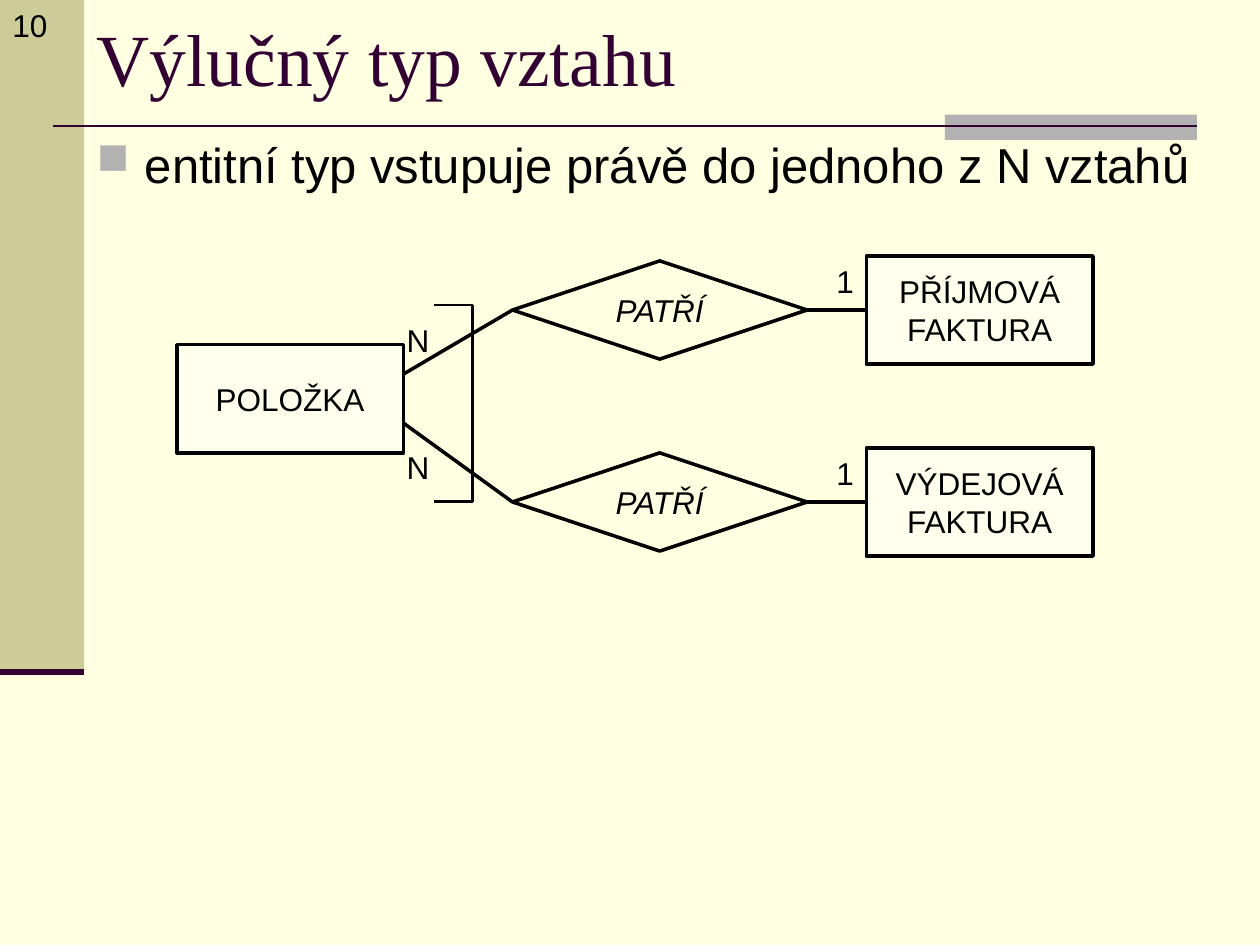
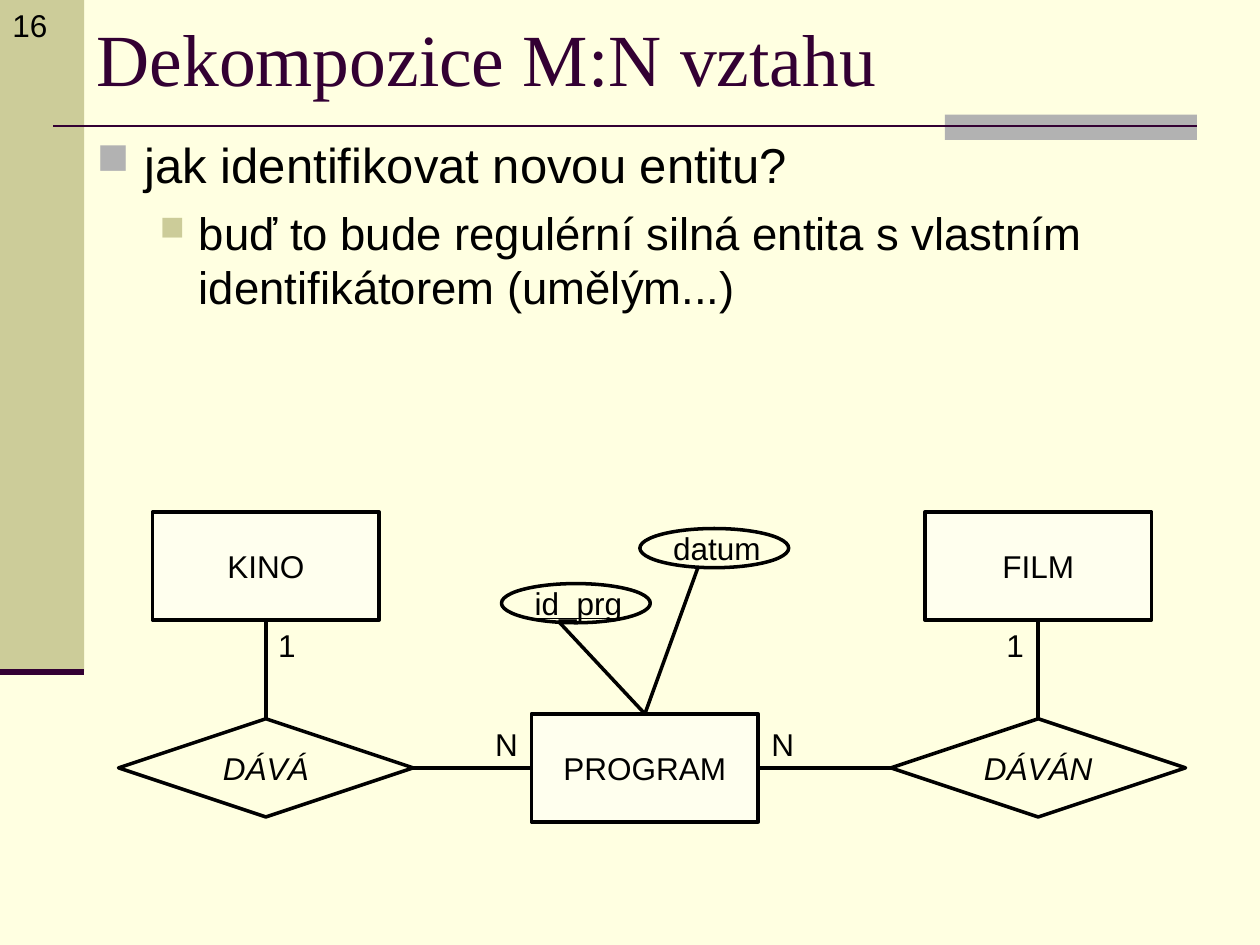
from dataclasses import dataclass
from typing import NamedTuple

from lxml.etree import SubElement as Sub
from pptx import Presentation
from pptx.dml.color import RGBColor as Rgb
from pptx.enum.shapes import MSO_CONNECTOR as Wire, MSO_SHAPE as Kind
from pptx.enum.text import MSO_ANCHOR as Anchor, PP_ALIGN as Align
from pptx.oxml.ns import qn
from pptx.slide import Slide
from pptx.util import Cm, Pt


@dataclass(frozen=True)
class Theme:
    page: str = "FFFFE1"
    band: str = "CCCC99"
    tab: str = "B2B2B2"
    plum: str = "330033"
    ink: str = "000000"
    cell: str = "FFFFEE"
    sans: str = "Arial"
    serif: str = "Times New Roman"
    head: float = 42
    main: float = 28
    sub: float = 26
    small: float = 18
    thick: float = 2
    thin: float = 1.5
    base: float = 3.5


class Size(NamedTuple):
    wide: float
    high: float


class Level(NamedTuple):
    left: float
    hang: float
    size: float
    gap: float
    color: str
    scale: int


class Point(NamedTuple):
    level: int
    words: str


class Node(NamedTuple):
    kind: Kind
    x: float
    y: float
    words: str = ""


THEME = Theme()
BOX, GEM, OVAL = Kind.RECTANGLE, Kind.DIAMOND, Kind.OVAL
SIZES = {BOX: Size(4.57, 2.18), GEM: Size(5.94, 1.98), OVAL: Size(3, 0.79)}
LEVELS = (
    Level(0.97, 0.97, THEME.main, 7, THEME.tab, 90),
    Level(2.06, 0.79, THEME.sub, 6.5, THEME.band, 75),
)


class Link(NamedTuple):
    x1: float
    y1: float
    x2: float
    y2: float
    width: float = THEME.thick


class Label(NamedTuple):
    x: float
    y: float
    words: str
    wide: float = 1.1
    under: bool = False


def tint(code: str) -> Rgb:
    return Rgb.from_string(code)


def write(para, words: str, size: float, face: str = THEME.sans,
          color: str = THEME.ink, slant: bool = False, under: bool = False) -> None:
    run = para.add_run()
    run.text = words
    font = run.font
    font.size, font.name = Pt(size), face
    font.color.rgb = tint(color)
    font.italic, font.underline = slant, under


def frame(slide: Slide, x: float, y: float, wide: float, high: float, wrap: bool = True):
    text = slide.shapes.add_textbox(Cm(x), Cm(y), Cm(wide), Cm(high)).text_frame
    text.word_wrap = wrap
    return text


def block(slide: Slide, kind: Kind, x: float, y: float, size: Size, fill: str):
    shape = slide.shapes.add_shape(kind, Cm(x), Cm(y), Cm(size.wide), Cm(size.high))
    shape.shadow.inherit = False
    shape.fill.solid()
    shape.fill.fore_color.rgb = tint(fill)
    shape.line.fill.background()
    return shape


def join(slide: Slide, link: Link, color: str = THEME.ink) -> None:
    ends = [Cm(n) for n in link[:4]]
    line = slide.shapes.add_connector(Wire.STRAIGHT, *ends)
    line.line.color.rgb = tint(color)
    line.line.width = Pt(link.width)
    Sub(line._element.spPr, qn("a:effectLst"))


def draw(slide: Slide, node: Node) -> None:
    size = SIZES[node.kind]
    fill = THEME.cell if node.kind == BOX else THEME.page
    shape = block(slide, node.kind, node.x - size.wide / 2, node.y - size.high / 2, size, fill)
    shape.line.color.rgb = tint(THEME.ink)
    shape.line.width = Pt(THEME.thick)
    if node.words:
        text = shape.text_frame
        text.word_wrap = True
        text.vertical_anchor = Anchor.MIDDLE
        para = text.paragraphs[0]
        para.alignment = Align.CENTER
        write(para, node.words, THEME.small, slant=node.kind == GEM)


def mark(slide: Slide, label: Label) -> None:
    text = frame(slide, label.x, label.y, label.wide, 1.02, wrap=False)
    para = text.paragraphs[0]
    para.alignment = Align.LEFT
    write(para, label.words, THEME.small, under=label.under)


def bullet(para, level: Level) -> None:
    para.space_before = Pt(level.gap)
    props = para._p.get_or_add_pPr()
    props.set("marL", str(Cm(level.left)))
    props.set("indent", str(-Cm(level.hang)))
    Sub(Sub(props, qn("a:buClr")), qn("a:srgbClr"), val=level.color)
    Sub(props, qn("a:buSzPct"), val=str(level.scale * 1000))
    Sub(props, qn("a:buChar"), char="■")


def start(deck, title: str, page: int, points: list[Point]) -> Slide:
    slide = deck.slides.add_slide(deck.slide_layouts[6])
    slide.background.fill.solid()
    slide.background.fill.fore_color.rgb = tint(THEME.page)
    block(slide, BOX, 0, 0, Size(1.7, 13.54), THEME.band)
    block(slide, BOX, 19.05, 2.31, Size(5.08, 0.51), THEME.tab)
    join(slide, Link(1.07, 2.54, 24.13, 2.54, THEME.thin), THEME.plum)
    join(slide, Link(0, 13.54, 1.7, 13.54, THEME.base), THEME.plum)
    head = frame(slide, 1.7, 0, 23.7, 2.31)
    head.vertical_anchor = Anchor.MIDDLE
    write(head.paragraphs[0], title, THEME.head, THEME.serif, THEME.plum)
    body = frame(slide, 1.7, 2.59, 23.7, 4.75)
    for i, point in enumerate(points):
        para = body.add_paragraph() if i else body.paragraphs[0]
        para.level = point.level
        level = LEVELS[point.level]
        bullet(para, level)
        write(para, point.words, level.size)
    mark(slide, Label(0, 0, str(page), 1.5))
    return slide


def fill(slide: Slide, links: list[Link], nodes: list[Node], labels: list[Label]) -> None:
    for link in links:
        join(slide, link)
    for node in nodes:
        draw(slide, node)
    for label in labels:
        mark(slide, label)


def choice(deck) -> None:
    slide = start(deck, "Výlučný typ vztahu", 10,
                  [Point(0, "entitní typ vstupuje právě do jednoho z N vztahů")])
    item, gem, bill = 5.85, 13.3, 19.75
    half = SIZES[GEM].wide / 2
    side = SIZES[BOX].wide / 2
    nodes = [Node(BOX, item, 8.04, "POLOŽKA")]
    links, labels = [], []
    rows = ((6.25, 7.54, 6.35, "PŘÍJMOVÁ FAKTURA"), (10.12, 8.53, 8.9, "VÝDEJOVÁ FAKTURA"))
    for y, port, top, words in rows:
        nodes += [Node(GEM, gem, y, "PATŘÍ"), Node(BOX, bill, y, words)]
        links += [Link(gem - half, y, item + side, port),
                  Link(gem + half, y, bill - side, y)]
        labels += [Label(7.95, top, "N"), Label(16.61, y - 1.09, "1")]
    near, far, top, low = 8.74, 9.53, 6.15, 10.11
    links += [Link(near, top, far, top, THEME.thin),
              Link(far, top, far, low, THEME.thin),
              Link(far, low, near, low, THEME.thin)]
    fill(slide, links, nodes, labels)


def split(deck) -> None:
    slide = start(deck, "Dekompozice M:N vztahu", 16, [
        Point(0, "jak identifikovat novou entitu?"),
        Point(1, "buď to bude regulérní silná entita s vlastním identifikátorem (umělým...)"),
    ])
    mid, upper, lower = 13, 11.41, 15.48
    box, gem = SIZES[BOX], SIZES[GEM]
    nodes = [Node(BOX, mid, lower, "PROGRAM")]
    links, labels = [], []
    sides = ((5.36, 1, "KINO", "DÁVÁ", 5.36, 9.73), (20.93, -1, "FILM", "DÁVÁN", 20.04, 15.3))
    for x, way, name, verb, one, many in sides:
        nodes += [Node(BOX, x, upper, name), Node(GEM, x, lower, verb)]
        links += [Link(x, lower - gem.high / 2, x, upper + box.high / 2),
                  Link(x + way * gem.wide / 2, lower, mid - way * box.wide / 2, lower)]
        labels += [Label(one, 12.49, "1"), Label(many, 14.49, "N")]
    for x, y, name, key in ((11.61, 12.16, "id_prg", True), (14.4, 11.05, "datum", False)):
        nodes.append(Node(OVAL, x, y))
        links.append(Link(mid, lower - box.high / 2, x - 0.33, y + 0.39))
        labels.append(Label(x - 1.08, y - 0.52, name, 2.8, key))
    fill(slide, links, nodes, labels)


def main() -> None:
    deck = Presentation()
    deck.slide_width, deck.slide_height = Cm(25.4), Cm(19.05)
    choice(deck)
    split(deck)
    deck.save("out.pptx")


if __name__ == "__main__":
    main()
